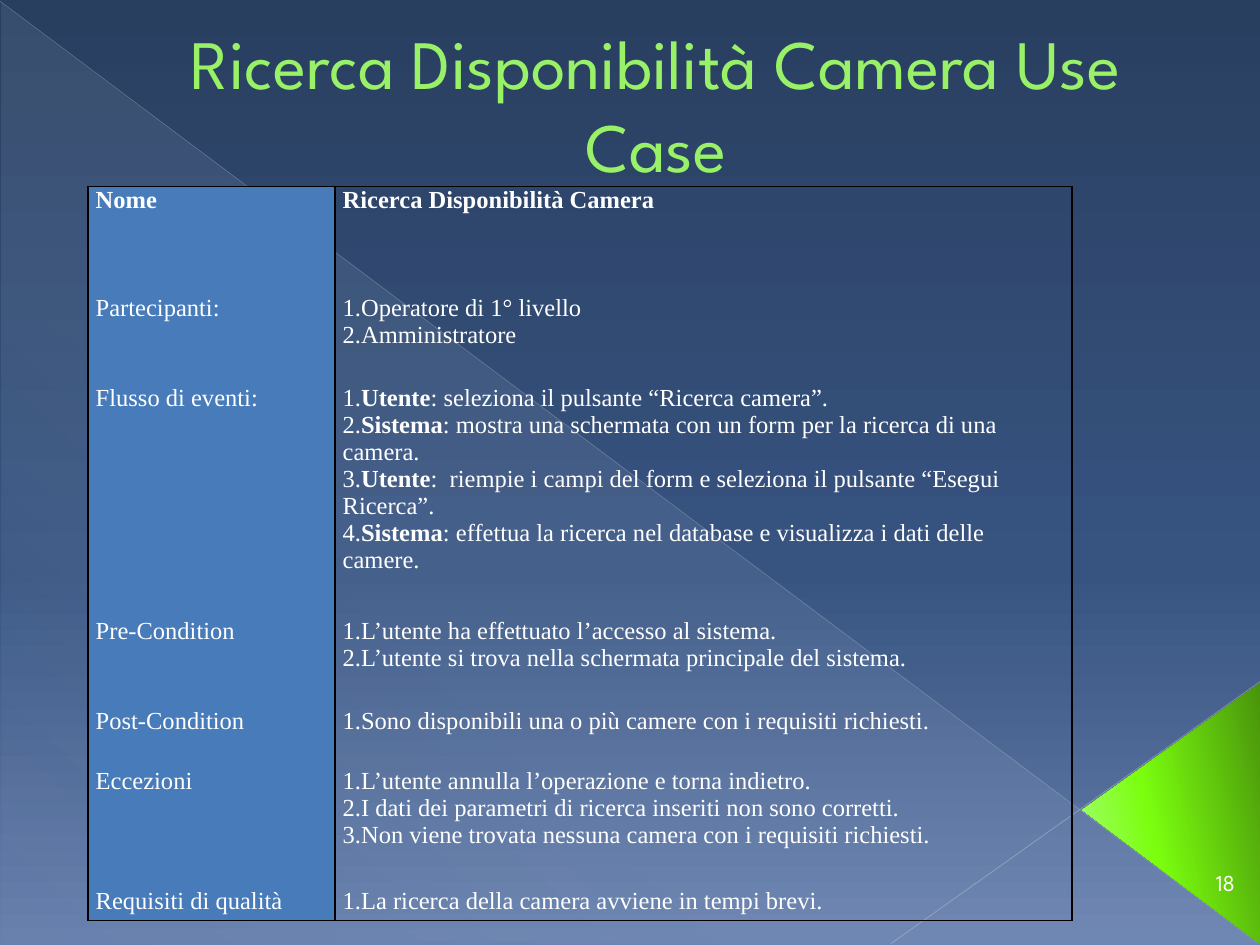
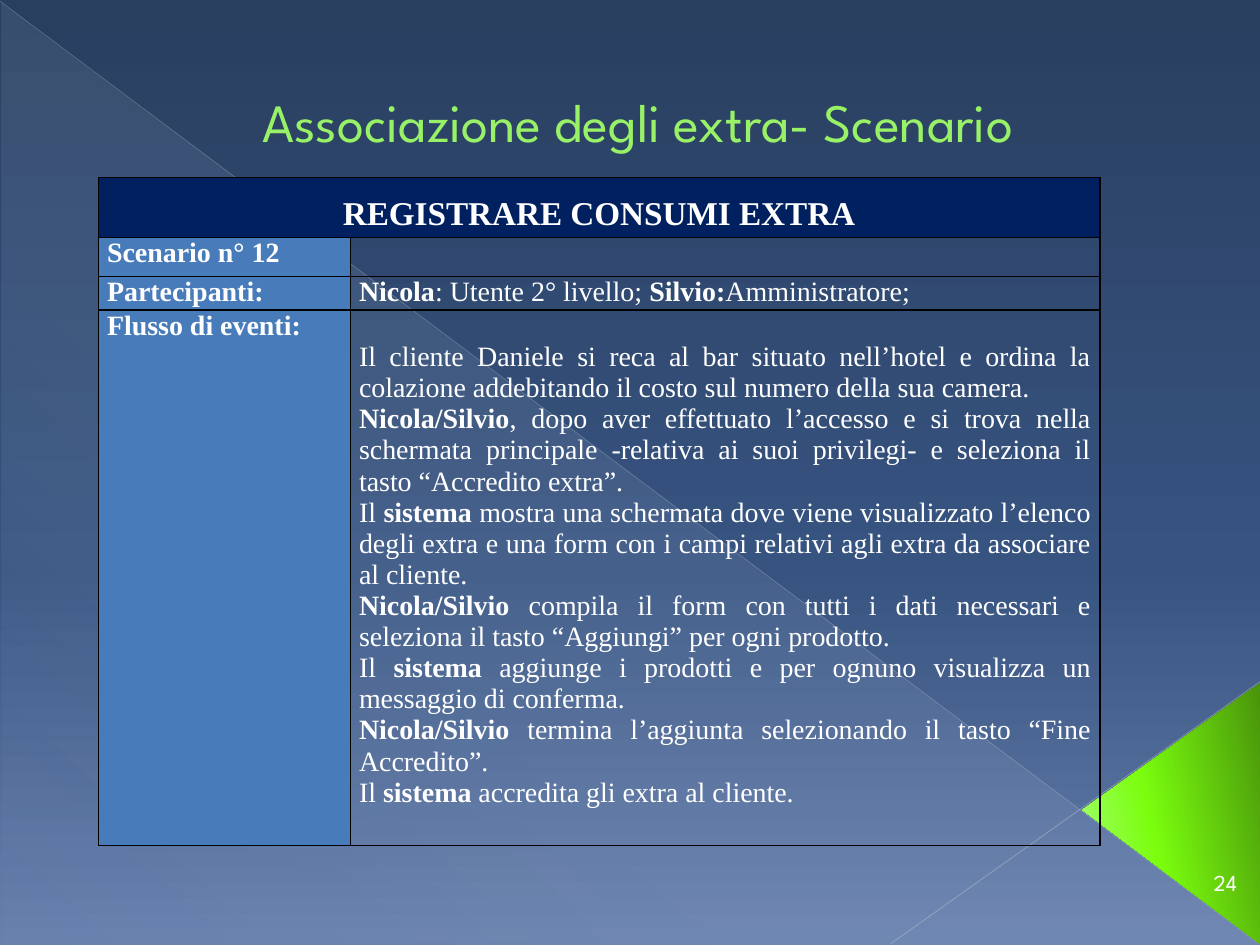
from dataclasses import dataclass

from lxml import etree
from pptx import Presentation
from pptx.dml.color import RGBColor
from pptx.enum.shapes import MSO_CONNECTOR, MSO_SHAPE
from pptx.enum.text import MSO_ANCHOR, MSO_AUTO_SIZE, PP_ALIGN
from pptx.oxml.ns import qn
from pptx.util import Inches, Pt

LEFT, CENTER, JUSTIFY = PP_ALIGN.LEFT, PP_ALIGN.CENTER, PP_ALIGN.JUSTIFY
MIDDLE, BOTTOM = MSO_ANCHOR.MIDDLE, MSO_ANCHOR.BOTTOM
NO_AUTOFIT = MSO_AUTO_SIZE.NONE
STRAIGHT = MSO_CONNECTOR.STRAIGHT
RIGHT_TRIANGLE, TRIANGLE = MSO_SHAPE.RIGHT_TRIANGLE, MSO_SHAPE.ISOSCELES_TRIANGLE


@dataclass(frozen=True)
class Theme:
    display_font: str = "League Spartan"
    table_font: str = "Times New Roman"
    title: str = "98F167"
    title_outline: str = "589129"
    text: str = "FFFFFF"
    label_fill: str = "477BB9"
    heading_fill: str = "002060"
    border: str = "000000"
    backdrop: tuple = ((0, "293F60", 100), (60, "375380", 100), (100, "667FAC", 100))
    veil: tuple = ((0, "D6ECFF", 10), (70, "D6ECFF", 8), (100, "D6ECFF", 1))
    corner: tuple = ((0, "49940B", 100), (60, "7BFE0E", 100), (100, "A8FF7D", 100))
    use_case_size: float = 14
    scenario_size: float = 16
    heading_size: float = 19
    number_size: float = 13


THEME = Theme()


def set_gradient(fill, owner, stops, angle):
    fill.gradient()
    gradient = next(owner.iter(qn("a:gradFill")))
    stop_list = gradient.find(qn("a:gsLst"))
    for old_stop in list(stop_list):
        stop_list.remove(old_stop)
    for position, colour, opacity in stops:
        stop = etree.SubElement(stop_list, qn("a:gs"), pos=str(position * 1000))
        tint = etree.SubElement(stop, qn("a:srgbClr"), val=colour)
        etree.SubElement(tint, qn("a:alpha"), val=str(opacity * 1000))
    gradient.find(qn("a:lin")).set("ang", str(angle * 60000))


def write_cell(cell, text, size, colour, edges, inset, top=0, align=LEFT):
    properties = cell._tc.get_or_add_tcPr()
    for edge in "LRTB":
        line = etree.SubElement(properties, qn(f"a:ln{edge}"), w=str(Pt(1)))
        if edge in edges:
            ink = etree.SubElement(line, qn("a:solidFill"))
            etree.SubElement(ink, qn("a:srgbClr"), val=THEME.border)
        else:
            etree.SubElement(line, qn("a:noFill"))
    if colour:
        cell.fill.solid()
        cell.fill.fore_color.rgb = RGBColor.from_string(colour)
    else:
        cell.fill.background()
    cell.margin_left = cell.margin_right = Inches(inset)
    cell.margin_top, cell.margin_bottom = Inches(top), 0
    cell.text_frame.text = text.replace("*", "")
    for paragraph, marked in zip(cell.text_frame.paragraphs, text.split("\n")):
        paragraph.alignment = align
        paragraph.clear()
        for index, part in enumerate(marked.split("*")):
            if part:
                run = paragraph.add_run()
                run.text = part
                run.font.name = THEME.table_font
                run.font.size = Pt(size)
                run.font.bold = index % 2 == 1
                run.font.color.rgb = RGBColor.from_string(THEME.text)


prs = Presentation()
prs.slide_width, prs.slide_height = Inches(10), Inches(7.5)
layout = prs.slide_layouts[5]
for placeholder in list(layout.placeholders):
    if placeholder.placeholder_format.idx != 0:
        placeholder.element.getparent().remove(placeholder.element)

headings = (
    ("Ricerca Disponibilità Camera Use Case", 39.6, (0.31, 0.55, 9.26, 0.98), "18"),
    ("Associazione degli extra- Scenario", 30.8, (1.22, 0.29, 7.16, 0.98), "24"),
)
slides = []
for heading, size, box, number in headings:
    slide = prs.slides.add_slide(layout)
    slides.append(slide)
    title = slide.shapes.title
    title.left, title.top, title.width, title.height = map(Inches, box)
    frame = title.text_frame
    frame.text = heading
    frame.auto_size = NO_AUTOFIT
    frame.word_wrap = True
    frame.vertical_anchor = BOTTOM
    paragraph = frame.paragraphs[0]
    paragraph.alignment = CENTER
    paragraph._p.get_or_add_pPr().set("marL", str(Inches(0.53)))
    font = paragraph.runs[0].font
    font.name, font.size = THEME.display_font, Pt(size)
    font.color.rgb = RGBColor.from_string(THEME.title)
    outline = etree.Element(qn("a:ln"), w=str(Pt(0.5)))
    outline_ink = etree.SubElement(outline, qn("a:solidFill"))
    etree.SubElement(outline_ink, qn("a:srgbClr"), val=THEME.title_outline)
    paragraph.runs[0]._r.get_or_add_rPr().insert(0, outline)

use_case_slide, scenario_slide = slides

set_gradient(layout.background.fill, layout.element, THEME.backdrop, 90)
decor = use_case_slide.shapes
veil = decor.add_shape(RIGHT_TRIANGLE, Inches(0.01), Inches(0.02), Inches(9.99), Inches(7.48))
set_gradient(veil.fill, veil.element, THEME.veil, 133)
diagonals = []
for start, end, colour, width, opacity in (
    ((0, 0.01), (9.99, 7.49), "B7BCC5", 0.39, 35),
    ((10, 5.41), (7.07, 7.49), "BFC3CB", 0.47, 45),
):
    diagonal = decor.add_connector(STRAIGHT, *map(Inches, start + end))
    diagonal.line.color.rgb = RGBColor.from_string(colour)
    diagonal.line.width = Pt(width)
    tint = next(diagonal.element.iter(qn("a:srgbClr")))
    etree.SubElement(tint, qn("a:alpha"), val=str(opacity * 1000))
    etree.SubElement(diagonal.element.spPr, qn("a:effectLst"))
    diagonals.append(diagonal)
corner = decor.add_shape(TRIANGLE, Inches(8.26), Inches(5.75), Inches(2.07), Inches(1.41))
corner.rotation = 270
corner.adjustments[0] = 0.513
set_gradient(corner.fill, corner.element, THEME.corner, 258)
for wedge in (veil, corner):
    wedge.line.fill.background()
    wedge.shadow.inherit = False
for part in (veil, *diagonals, corner):
    layout.shapes.element.append(part.element)

for slide, (_, _, _, number) in zip(slides, headings):
    page = slide.shapes.add_textbox(Inches(9.45), Inches(6.8), Inches(0.55), Inches(0.4))
    frame = page.text_frame
    frame.word_wrap = True
    frame.vertical_anchor = MIDDLE
    frame.text = number
    frame.paragraphs[0].alignment = CENTER
    font = frame.paragraphs[0].runs[0].font
    font.name, font.size = THEME.display_font, Pt(THEME.number_size)
    font.color.rgb = RGBColor.from_string(THEME.text)

use_case_rows = (
    (0.64, "*Nome*", "*Ricerca Disponibilità Camera*"),
    (0.71, "Partecipanti:", "1.Operatore di 1° livello\n2.Amministratore"),
    (1.81, "Flusso di eventi:",
     "1.*Utente*: seleziona il pulsante “Ricerca camera”.\n"
     "2.*Sistema*: mostra una schermata con un form per la ricerca di una camera.\n"
     "3.*Utente*:  riempie i campi del form e seleziona il pulsante “Esegui Ricerca”.\n"
     "4.*Sistema*: effettua la ricerca nel database e visualizza i dati delle camere."),
    (0.71, "Pre-Condition",
     "1.L’utente ha effettuato l’accesso al sistema.\n"
     "2.L’utente si trova nella schermata principale del sistema."),
    (0.48, "Post-Condition", "1.Sono disponibili una o più camere con i requisiti richiesti."),
    (0.95, "Eccezioni",
     "1.L’utente annulla l’operazione e torna indietro.\n"
     "2.I dati dei parametri di ricerca inseriti non sono corretti.\n"
     "3.Non viene trovata nessuna camera con i requisiti richiesti."),
    (0.48, "Requisiti di qualità", "1.La ricerca della camera avviene in tempi brevi."),
)
scenario_rows = (
    (0.44, "*REGISTRARE CONSUMI EXTRA*", ""),
    (0.31, "*Scenario n° 12*", ""),
    (0.25, "*Partecipanti:*", "*Nicola*: Utente 2° livello;* Silvio:*Amministratore;"),
    (4.01, "*Flusso di eventi:*",
     "Il cliente Daniele si reca al bar situato nell’hotel e ordina la colazione "
     "addebitando il costo sul numero della sua camera.\n"
     "*Nicola/Silvio*, dopo aver effettuato l’accesso e si trova nella schermata "
     "principale -relativa ai suoi privilegi- e seleziona il tasto “Accredito extra”.\n"
     "Il *sistema* mostra una schermata dove viene visualizzato l’elenco degli extra "
     "e una form con i campi relativi agli extra da associare al cliente.\n"
     "*Nicola/Silvio *compila il form con tutti i dati necessari e seleziona il tasto "
     "“Aggiungi” per ogni prodotto.\n"
     "Il *sistema* aggiunge i prodotti e per ognuno visualizza un messaggio di conferma.\n"
     "*Nicola/Silvio* termina l’aggiunta selezionando il tasto “Fine Accredito”.\n"
     "Il *sistema* accredita gli extra al cliente."),
)

tables = []
for slide, rows, left, top, widths in (
    (use_case_slide, use_case_rows, 0.7, 1.48, (1.96, 5.85)),
    (scenario_slide, scenario_rows, 0.78, 1.41, (2, 5.95)),
):
    height = sum(row[0] for row in rows)
    table = slide.shapes.add_table(
        len(rows), 2, Inches(left), Inches(top), Inches(sum(widths)), Inches(height)).table
    table.first_row = table.horz_banding = False
    for column, width in zip(table.columns, widths):
        column.width = Inches(width)
    for table_row, row in zip(table.rows, rows):
        table_row.height = Inches(row[0])
    tables.append(table)
use_case, scenario = tables

last = len(use_case_rows) - 1
for index, (_, label, details) in enumerate(use_case_rows):
    edges = "LR" + ("T" if index == 0 else "") + ("B" if index == last else "")
    top = 0.22 if index else 0
    for column, text, colour in ((0, label, THEME.label_fill), (1, details, None)):
        write_cell(use_case.cell(index, column), text, THEME.use_case_size,
                   colour, edges, 0.06, top)

for index, (_, label, details) in enumerate(scenario_rows):
    is_heading = index == 0
    is_flow = index == len(scenario_rows) - 1
    write_cell(scenario.cell(index, 0), label,
               THEME.heading_size if is_heading else THEME.scenario_size,
               THEME.heading_fill if is_heading else THEME.label_fill,
               "LRTB", 0.07, align=CENTER if is_heading else LEFT)
    write_cell(scenario.cell(index, 1), details, THEME.scenario_size, None, "LRTB", 0.07,
               0.25 if is_flow else 0, JUSTIFY if is_flow else LEFT)
scenario.cell(0, 0).merge(scenario.cell(0, 1))
scenario.cell(0, 0).text_frame.paragraphs[0].line_spacing = 1.5

prs.save("out.pptx")
